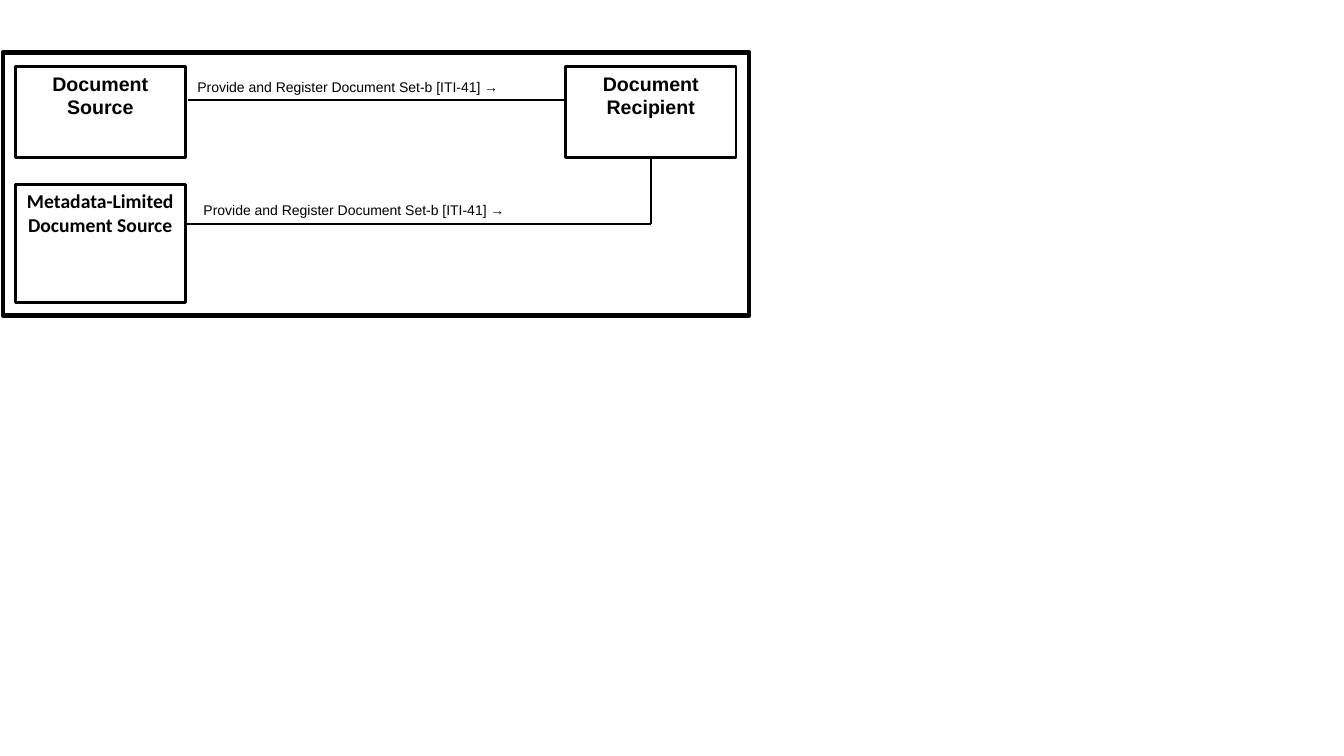
from lxml import etree
from pptx import Presentation
from pptx.dml.color import RGBColor
from pptx.enum.shapes import MSO_CONNECTOR, MSO_SHAPE
from pptx.enum.text import MSO_ANCHOR, PP_ALIGN
from pptx.oxml.ns import qn
from pptx.util import Inches, Pt

COLORS = {"ink": "000000", "paper": "FFFFFF"}
INK = RGBColor.from_string(COLORS["ink"])
PAPER = RGBColor.from_string(COLORS["paper"])


def add_box(left, top, width, height, line_width):
    shape = slide.shapes.add_shape(
        MSO_SHAPE.RECTANGLE, Inches(left), Inches(top), Inches(width), Inches(height)
    )
    shape.shadow.inherit = False
    shape.line.color.rgb = INK
    shape.line.width = Pt(line_width)
    return shape


presentation = Presentation()
presentation.slide_width = Inches(13.33)
presentation.slide_height = Inches(7.5)
slide = presentation.slides.add_slide(presentation.slide_layouts[6])

frame = add_box(0.03, 0.52, 7.4, 2.61, 3)
frame.fill.background()

# Actors: name, font, left, top, height
actors = [
    ("Document Source", "Arial", 0.15, 0.66, 0.9),
    ("Document Recipient", "Arial", 5.61, 0.66, 0.9),
    ("Metadata-Limited Document Source", "Calibri", 0.15, 1.83, 1.17),
]
for name, font_name, left, top, height in actors:
    actor = add_box(left, top, 1.69, height, 2)
    actor.fill.solid()
    actor.fill.fore_color.rgb = PAPER
    actor.text_frame.word_wrap = True
    actor.text_frame.vertical_anchor = MSO_ANCHOR.TOP
    paragraph = actor.text_frame.paragraphs[0]
    paragraph.text = name
    paragraph.alignment = PP_ALIGN.CENTER
    paragraph.font.name = font_name
    paragraph.font.size = Pt(14)
    paragraph.font.bold = True
    paragraph.font.color.rgb = INK

# Transaction lines: start x, start y, end x, end y
transaction_lines = [
    (1.86, 0.99, 5.59, 0.99),
    (1.84, 2.22, 6.46, 2.22),
    (6.46, 2.22, 6.46, 1.57),
]
for ends in transaction_lines:
    connector = slide.shapes.add_connector(
        MSO_CONNECTOR.STRAIGHT, *[Inches(value) for value in ends]
    )
    connector.line.color.rgb = INK
    connector.line.width = Pt(1.5)
    etree.SubElement(connector._element.spPr, qn("a:effectLst"))

# Transaction labels: left, top
for left, top in [(1.86, 0.73), (1.92, 1.95)]:
    label = slide.shapes.add_textbox(
        Inches(left), Inches(top), Inches(3.6), Inches(0.26)
    )
    label.text_frame.word_wrap = True
    paragraph = label.text_frame.paragraphs[0]
    paragraph.font.size = Pt(10)
    paragraph.font.color.rgb = INK
    for text, font_name in [
        ("Provide and Register Document Set-b [ITI-41] ", "Arial"),
        ("→", "Times New Roman"),
    ]:
        run = paragraph.add_run()
        run.text = text
        run.font.name = font_name

presentation.save("out.pptx")
